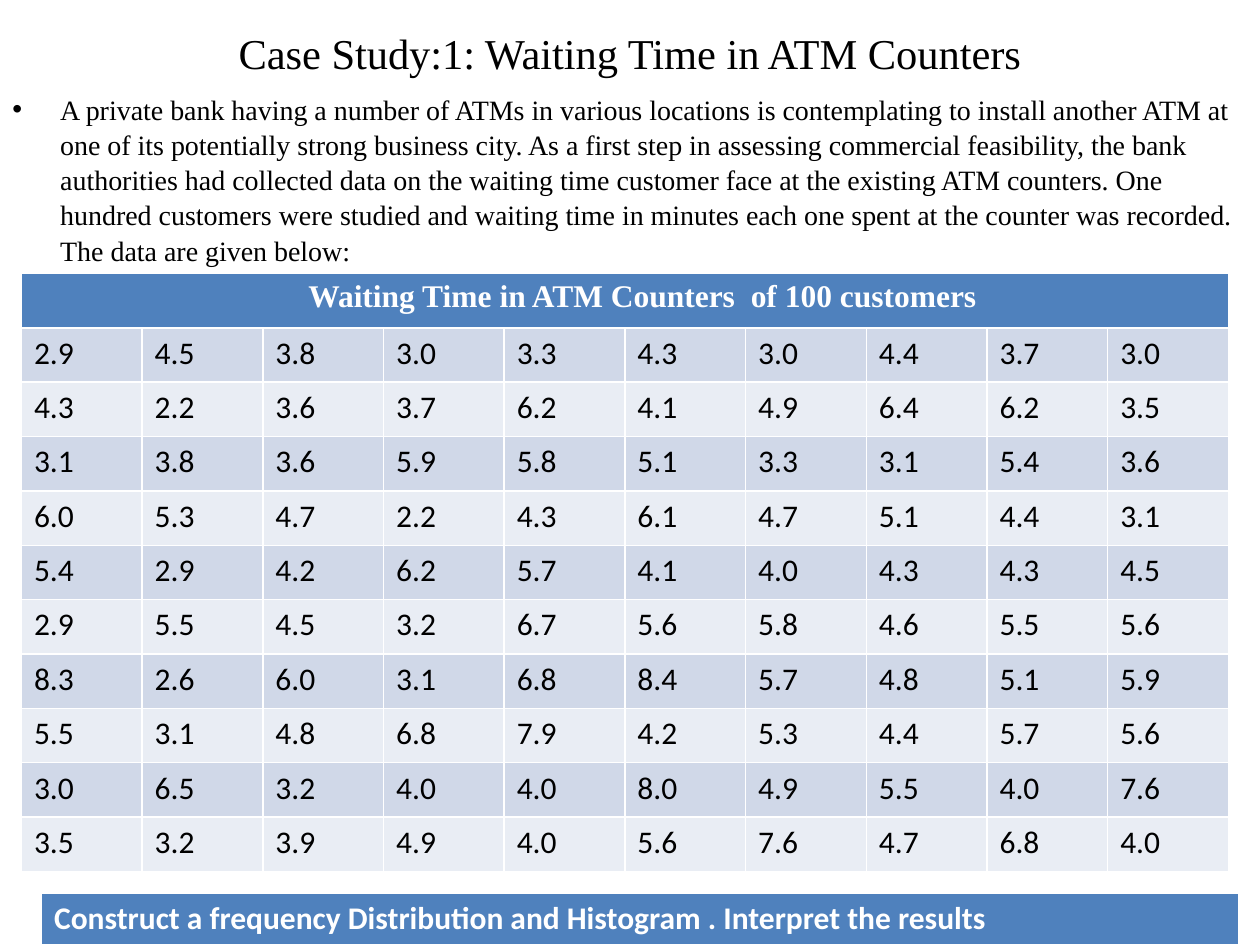
from pptx import Presentation
from pptx.dml.color import RGBColor
from pptx.enum import text
from pptx.oxml import parse_xml
from pptx.oxml.ns import nsdecls
from pptx.util import Inches, Pt

# Content
TITLE = "Case Study:1: Waiting Time in ATM Counters"
INTRO = (
    "A private bank having a number of ATMs in various locations is contemplating "
    "to install another ATM at one of its potentially strong business city. As a "
    "first step in assessing commercial feasibility, the bank authorities had "
    "collected data on the waiting time customer face at the existing ATM counters. "
    "One hundred customers were studied and waiting time in minutes each one spent "
    "at the counter was recorded. The data are given below:"
)
TIMES_HEADING = "Waiting Time in ATM Counters  of 100 customers"
WAITING_TIMES = [
    (2.9, 4.5, 3.8, 3.0, 3.3, 4.3, 3.0, 4.4, 3.7, 3.0),
    (4.3, 2.2, 3.6, 3.7, 6.2, 4.1, 4.9, 6.4, 6.2, 3.5),
    (3.1, 3.8, 3.6, 5.9, 5.8, 5.1, 3.3, 3.1, 5.4, 3.6),
    (6.0, 5.3, 4.7, 2.2, 4.3, 6.1, 4.7, 5.1, 4.4, 3.1),
    (5.4, 2.9, 4.2, 6.2, 5.7, 4.1, 4.0, 4.3, 4.3, 4.5),
    (2.9, 5.5, 4.5, 3.2, 6.7, 5.6, 5.8, 4.6, 5.5, 5.6),
    (8.3, 2.6, 6.0, 3.1, 6.8, 8.4, 5.7, 4.8, 5.1, 5.9),
    (5.5, 3.1, 4.8, 6.8, 7.9, 4.2, 5.3, 4.4, 5.7, 5.6),
    (3.0, 6.5, 3.2, 4.0, 4.0, 8.0, 4.9, 5.5, 4.0, 7.6),
    (3.5, 3.2, 3.9, 4.9, 4.0, 5.6, 7.6, 4.7, 6.8, 4.0),
]
TASK = "Construct a frequency Distribution and Histogram . Interpret the results"

SERIF, SANS = "Times New Roman", "Calibri"
BLACK = RGBColor(0x00, 0x00, 0x00)
WHITE = RGBColor(0xFF, 0xFF, 0xFF)
BLUE = RGBColor(0x4F, 0x81, 0xBD)
BANDS = (RGBColor(0xD0, 0xD8, 0xE8), RGBColor(0xE9, 0xED, 0xF4))


def style(paragraph, face, size, color, bold=False):
    font = paragraph.font
    font.name, font.size, font.bold = face, Pt(size), bold
    font.color.rgb = color


def fill_cell(cell, words, fill, face=SANS, color=WHITE, bold=True):
    cell.text = words
    cell.fill.solid()
    cell.fill.fore_color.rgb = fill
    style(cell.text_frame.paragraphs[0], face, 18, color, bold)


def add_grid(slide, rows, columns, left, top, width, height):
    frame = slide.shapes.add_table(
        rows, columns, Inches(left), Inches(top), Inches(width), Inches(height))
    return frame.table


def main():
    prs = Presentation()
    prs.slide_width, prs.slide_height = Inches(10), Inches(7.5)
    slide = prs.slides.add_slide(prs.slide_layouts[5])

    # Title
    title = slide.shapes.title
    title.left, title.top = Inches(0.5), Inches(0.17)
    title.width, title.height = Inches(9), Inches(0.5)
    title.text_frame.text = TITLE
    title.text_frame.vertical_anchor = text.MSO_ANCHOR.MIDDLE
    heading = title.text_frame.paragraphs[0]
    heading.alignment = text.PP_ALIGN.CENTER
    style(heading, SERIF, 24.3, BLACK)

    # Introduction
    intro = slide.shapes.add_textbox(0, Inches(0.67), Inches(10), Inches(6.83))
    intro.text_frame.word_wrap = True
    intro.text_frame.text = INTRO
    case = intro.text_frame.paragraphs[0]
    case.line_spacing = 1.05
    properties = case._p.get_or_add_pPr()
    properties.set("marL", str(Inches(0.38)))
    properties.set("indent", str(Inches(-0.38)))
    properties.append(parse_xml(f'<a:buFont {nsdecls("a")} typeface="Arial"/>'))
    properties.append(parse_xml(f'<a:buChar {nsdecls("a")} char="•"/>'))
    style(case, SERIF, 16, BLACK)

    # Waiting times
    columns = len(WAITING_TIMES[0])
    times = add_grid(slide, len(WAITING_TIMES) + 1, columns, 0.17, 2.17, 9.58, 4.75)
    header = times.cell(0, 0)
    header.merge(times.cell(0, columns - 1))
    fill_cell(header, TIMES_HEADING, BLUE, face=SERIF)
    header.margin_left = Inches(0.38)
    header.text_frame.paragraphs[0].alignment = text.PP_ALIGN.CENTER
    for row, minutes in enumerate(WAITING_TIMES):
        for column, value in enumerate(minutes):
            fill_cell(times.cell(row + 1, column), f"{value:.1f}",
                      BANDS[row % 2], color=BLACK, bold=False)

    # Task
    task = add_grid(slide, 1, 1, 0.33, 7.09, 9.5, 0.41)
    fill_cell(task.cell(0, 0), TASK, BLUE)

    prs.save("out.pptx")


if __name__ == "__main__":
    main()
